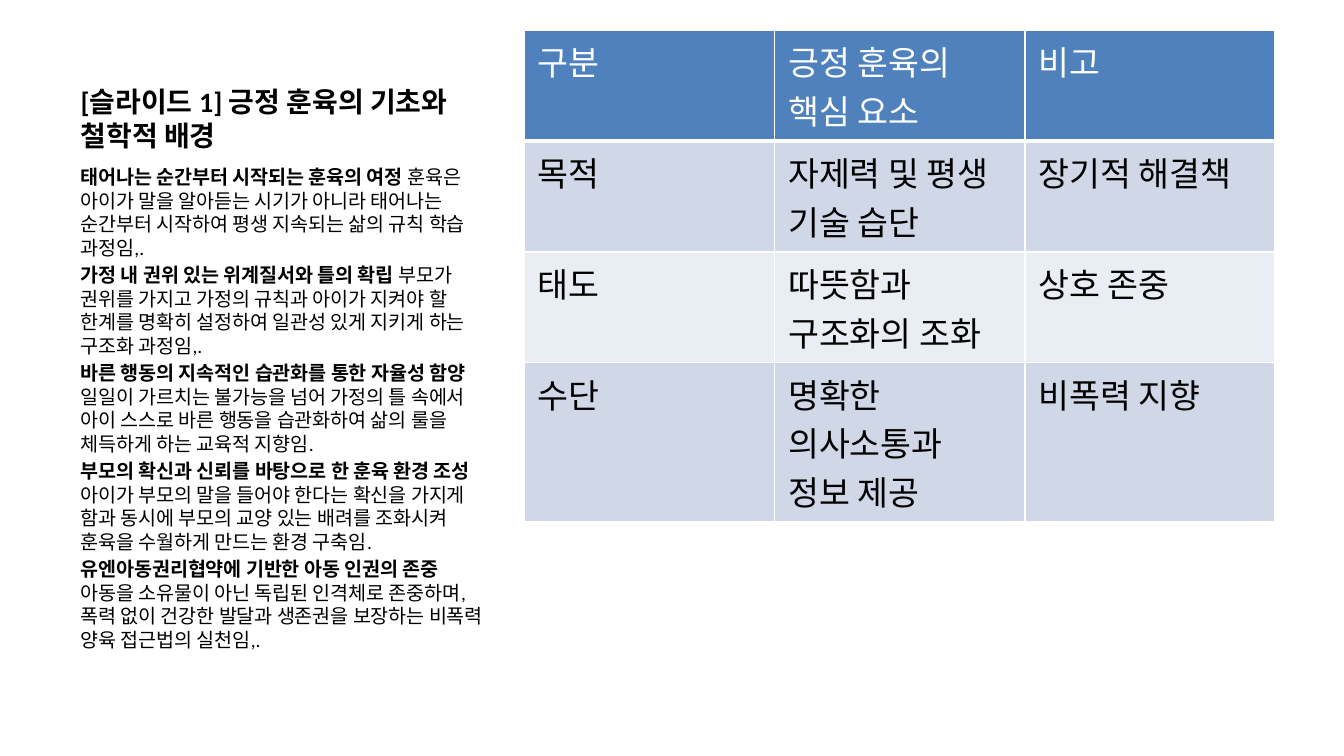
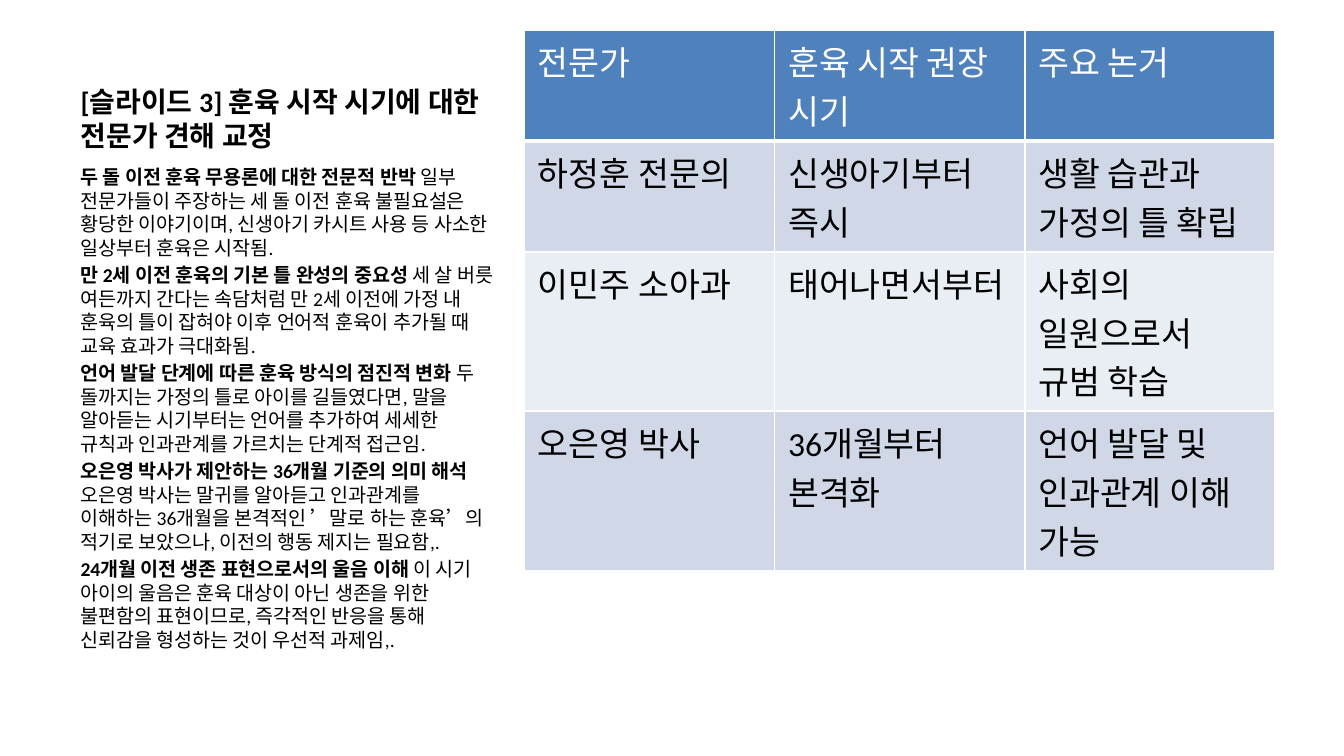
"""Build two slides on discipline, each with a caption and a table."""
from pptx import Presentation
from pptx.dml.color import RGBColor
from pptx.enum import text
from pptx.oxml import ns, xmlchemy
from pptx.util import Pt

BLACK = RGBColor(0x00, 0x00, 0x00)
WHITE = RGBColor(0xFF, 0xFF, 0xFF)
HEADER = RGBColor(0x4F, 0x81, 0xBD)
BANDS = (RGBColor(0xD0, 0xD8, 0xE8), RGBColor(0xE9, 0xED, 0xF4))

FONT = "Calibri"
CAPTION_LAYOUT = 7
TITLE_BOX = dict(left=36, top=16, width=237, height=69)
BODY_BOX = dict(left=36, top=85, width=237, height=277)
TABLE_BOX = dict(left=281, top=16.2, width=402, height=345)
TITLE_FORMAT = dict(name=FONT, size=Pt(15), bold=True)
LEAD_FORMAT = dict(name=FONT, size=Pt(10.5), bold=True)
DETAIL_FORMAT = dict(LEAD_FORMAT, bold=False)
CELL_FORMAT = dict(name=FONT, size=Pt(18), bold=False)

SLIDES = [
    dict(
        title="[슬라이드 1] 긍정 훈육의 기초와 철학적 배경",
        points=[
            ("태어나는 순간부터 시작되는 훈육의 여정",
             "훈육은 아이가 말을 알아듣는 시기가 아니라 태어나는 순간부터 시작하여 "
             "평생 지속되는 삶의 규칙 학습 과정임,."),
            ("가정 내 권위 있는 위계질서와 틀의 확립",
             "부모가 권위를 가지고 가정의 규칙과 아이가 지켜야 할 한계를 명확히 "
             "설정하여 일관성 있게 지키게 하는 구조화 과정임,."),
            ("바른 행동의 지속적인 습관화를 통한 자율성 함양",
             "일일이 가르치는 불가능을 넘어 가정의 틀 속에서 아이 스스로 바른 행동을 "
             "습관화하여 삶의 룰을 체득하게 하는 교육적 지향임."),
            ("부모의 확신과 신뢰를 바탕으로 한 훈육 환경 조성",
             "아이가 부모의 말을 들어야 한다는 확신을 가지게 함과 동시에 부모의 교양 "
             "있는 배려를 조화시켜 훈육을 수월하게 만드는 환경 구축임."),
            ("유엔아동권리협약에 기반한 아동 인권의 존중",
             "아동을 소유물이 아닌 독립된 인격체로 존중하며, 폭력 없이 건강한 발달과 "
             "생존권을 보장하는 비폭력 양육 접근법의 실천임,."),
        ],
        rows=[
            ("구분", "긍정 훈육의 핵심 요소", "비고"),
            ("목적", "자제력 및 평생 기술 습단", "장기적 해결책"),
            ("태도", "따뜻함과 구조화의 조화", "상호 존중"),
            ("수단", "명확한 의사소통과 정보 제공", "비폭력 지향"),
        ],
    ),
    dict(
        title="[슬라이드 3] 훈육 시작 시기에 대한 전문가 견해 교정",
        points=[
            ("두 돌 이전 훈육 무용론에 대한 전문적 반박",
             "일부 전문가들이 주장하는 세 돌 이전 훈육 불필요설은 황당한 이야기이며, "
             "신생아기 카시트 사용 등 사소한 일상부터 훈육은 시작됨."),
            ("만 2세 이전 훈육의 기본 틀 완성의 중요성",
             "세 살 버릇 여든까지 간다는 속담처럼 만 2세 이전에 가정 내 훈육의 틀이 "
             "잡혀야 이후 언어적 훈육이 추가될 때 교육 효과가 극대화됨."),
            ("언어 발달 단계에 따른 훈육 방식의 점진적 변화",
             "두 돌까지는 가정의 틀로 아이를 길들였다면, 말을 알아듣는 시기부터는 "
             "언어를 추가하여 세세한 규칙과 인과관계를 가르치는 단계적 접근임."),
            ("오은영 박사가 제안하는 36개월 기준의 의미 해석",
             "오은영 박사는 말귀를 알아듣고 인과관계를 이해하는 36개월을 본격적인 "
             "’말로 하는 훈육’의 적기로 보았으나, 이전의 행동 제지는 필요함,."),
            ("24개월 이전 생존 표현으로서의 울음 이해",
             "이 시기 아이의 울음은 훈육 대상이 아닌 생존을 위한 불편함의 표현이므로, "
             "즉각적인 반응을 통해 신뢰감을 형성하는 것이 우선적 과제임,."),
        ],
        rows=[
            ("전문가", "훈육 시작 권장 시기", "주요 논거"),
            ("하정훈 전문의", "신생아기부터 즉시", "생활 습관과 가정의 틀 확립"),
            ("이민주 소아과", "태어나면서부터", "사회의 일원으로서 규범 학습"),
            ("오은영 박사", "36개월부터 본격화", "언어 발달 및 인과관계 이해 가능"),
        ],
    ),
]


def place(sp, box):
    """Move and size a shape from a dict of points."""
    for key, value in box.items():
        setattr(sp, key, Pt(value))


def add_run(p, words, values, color=BLACK):
    """Add a formatted run to a paragraph."""
    r = p.add_run()
    r.text = words
    for key, value in values.items():
        setattr(r.font, key, value)
    r.font.color.rgb = color


def fill_title(s, words):
    """Write the slide title above the caption."""
    sp = s.shapes.title
    place(sp, TITLE_BOX)
    sp.text_frame.vertical_anchor = text.MSO_ANCHOR.BOTTOM
    add_run(sp.text_frame.paragraphs[0], words, TITLE_FORMAT)


def fill_points(s, points):
    """Write each point as a bold lead and its plain detail."""
    sp = s.placeholders[2]
    place(sp, BODY_BOX)
    tf = sp.text_frame
    for i, (lead, detail) in enumerate(points):
        p = tf.add_paragraph() if i else tf.paragraphs[0]
        add_run(p, lead, LEAD_FORMAT)
        add_run(p, f" {detail}", DETAIL_FORMAT)


def set_borders(cell, widths):
    """Draw white cell borders of the given widths."""
    tc_pr = cell._tc.get_or_add_tcPr()
    for side, width in widths.items():
        ln = xmlchemy.OxmlElement(f"a:ln{side}")
        ln.set("w", str(Pt(width)))
        fill = xmlchemy.OxmlElement("a:solidFill")
        color = xmlchemy.OxmlElement("a:srgbClr")
        color.set("val", str(WHITE))
        fill.append(color)
        ln.append(fill)
        tc_pr.append(ln)


def add_grid(s, rows):
    """Add a banded table whose rows grow to fit their text."""
    box = {key: Pt(value) for key, value in TABLE_BOX.items()}
    frame = s.shapes.add_table(len(rows), len(rows[0]), **box)
    for i, (row, values) in enumerate(zip(frame.table.rows, rows)):
        row.height = 0
        for cell, words in zip(row.cells, values):
            set_borders(cell, dict(L=1, R=1, T=1, B=1 if i else 3))
            cell.fill.solid()
            cell.fill.fore_color.rgb = BANDS[(i - 1) % 2] if i else HEADER
            add_run(cell.text_frame.paragraphs[0], words, CELL_FORMAT,
                    BLACK if i else WHITE)
    frame.height = box["height"]


def add_slide(prs, title, points, rows):
    """Add one slide with its title, points and table."""
    s = prs.slides.add_slide(prs.slide_layouts[CAPTION_LAYOUT])
    unused = s.placeholders[1].element
    unused.getparent().remove(unused)
    fill_title(s, title)
    fill_points(s, points)
    add_grid(s, rows)


def main():
    """Build and save the presentation."""
    prs = Presentation()
    prs.slide_width, prs.slide_height = Pt(720), Pt(405)
    for content in SLIDES:
        add_slide(prs, **content)
    prs.save("out.pptx")


if __name__ == "__main__":
    main()
